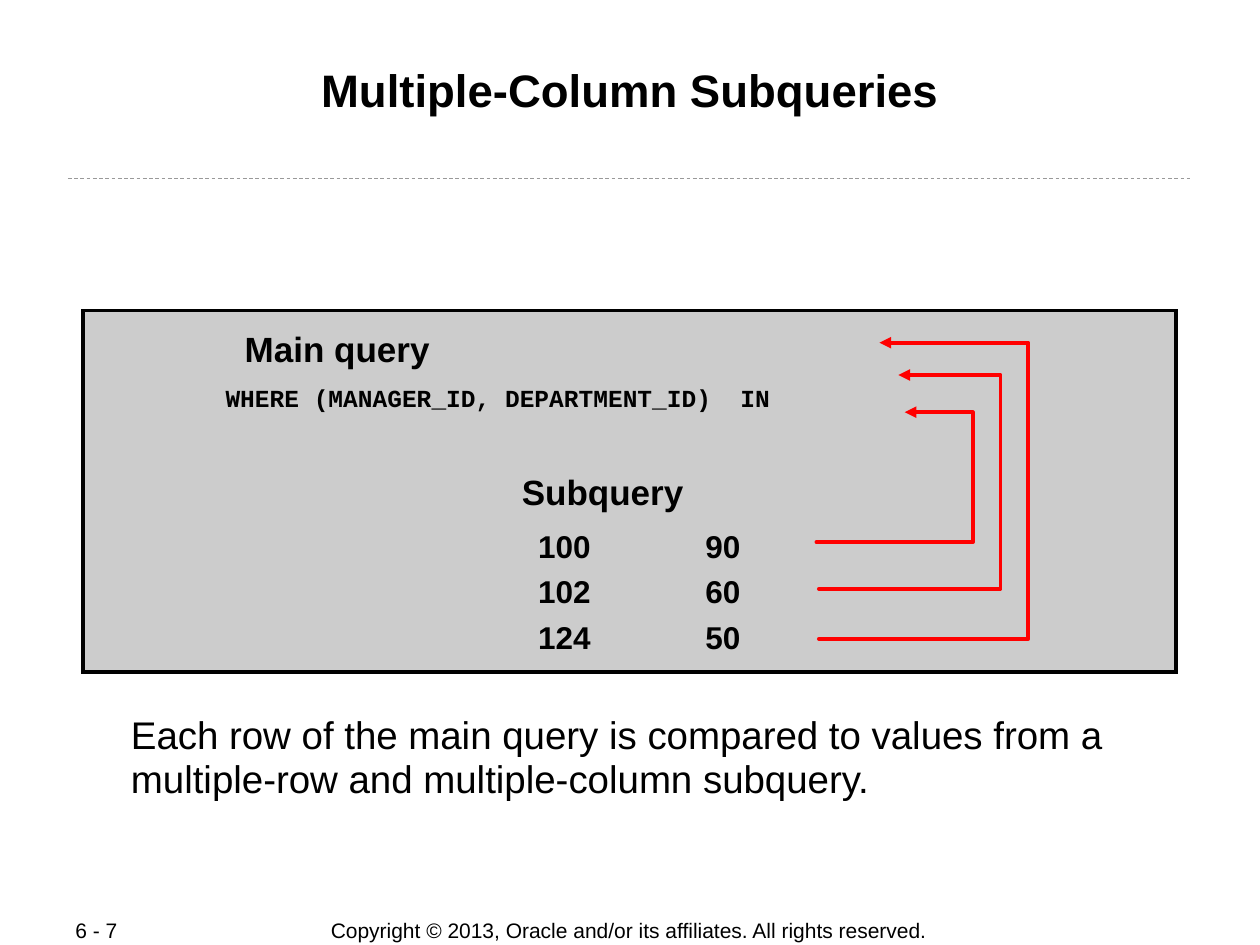
from lxml.etree import SubElement
from pptx import Presentation
from pptx.dml.color import RGBColor
from pptx.enum.dml import MSO_LINE
from pptx.enum.shapes import MSO_CONNECTOR, MSO_SHAPE
from pptx.enum.text import MSO_ANCHOR, PP_ALIGN
from pptx.oxml.ns import qn
from pptx.util import Cm, Pt

COLORS = {"text": "000000", "panel": "CCCCCC", "rule": "999999", "match": "FF0000"}

# Content
TITLE = "Multiple-Column Subqueries"
MAIN_QUERY = "Main query"
WHERE_CLAUSE = "WHERE (MANAGER_ID, DEPARTMENT_ID)  IN"
SUBQUERY = "Subquery"
SUBQUERY_ROWS = [("100", "90"), ("102", "60"), ("124", "50")]
EXPLANATION = ("Each row of the main query is compared to values from a "
               "multiple-row and multiple-column subquery.")
PAGE = "6 - 7"
COPYRIGHT = "Copyright © 2013, Oracle and/or its affiliates. All rights reserved."

# Arrows from subquery rows to the main query, in cm: start x, row y, tip x, tip y
MATCHES = [(16.46, 10.93, 18.24, 8.31),
           (16.51, 11.87, 18.11, 7.56),
           (16.51, 12.88, 17.73, 6.91)]
FIRST_BEND, BEND_STEP = 19.61, 0.56

prs = Presentation()
prs.slide_width, prs.slide_height = Cm(25.4), Cm(19.05)
slide = prs.slides.add_slide(prs.slide_layouts[6])
shapes = slide.shapes


def rgb(name):
    return RGBColor.from_string(COLORS[name])


def add_text(text, left, top, width, height, size, font="Arial", bold=False,
             align=PP_ALIGN.LEFT, anchor=MSO_ANCHOR.TOP, spacing=1.0,
             wrap=True, inset=(0.25, 0.13), tab=None):
    box = shapes.add_textbox(Cm(left), Cm(top), Cm(width), Cm(height))
    frame = box.text_frame
    frame.word_wrap = wrap
    frame.vertical_anchor = anchor
    frame.margin_left = frame.margin_right = Cm(inset[0])
    frame.margin_top = frame.margin_bottom = Cm(inset[1])
    frame.text = text
    for paragraph in frame.paragraphs:
        paragraph.alignment = align
        paragraph.line_spacing = spacing
        if tab:
            tabs = SubElement(paragraph._p.get_or_add_pPr(), qn("a:tabLst"))
            SubElement(tabs, qn("a:tab"), pos=str(Cm(tab)), algn="l")
        for run in paragraph.runs:
            run.font.name, run.font.size, run.font.bold = font, Pt(size), bold
            run.font.color.rgb = rgb("text")
    return box


def add_match(start_x, row_y, tip_x, tip_y, bend_x):
    builder = shapes.build_freeform(Cm(start_x), Cm(row_y))
    builder.add_line_segments([(Cm(bend_x), Cm(row_y)), (Cm(bend_x), Cm(tip_y)),
                               (Cm(tip_x), Cm(tip_y))], close=False)
    match = builder.convert_to_shape()
    match.shadow.inherit = False
    match.fill.background()
    match.line.color.rgb = rgb("match")
    match.line.width = Pt(2.25)
    outline = match.line._get_or_add_ln()
    outline.set("cap", "rnd")
    SubElement(outline, qn("a:round"))
    SubElement(outline, qn("a:tailEnd"), type="triangle")


# Footer
footer = {"size": 12, "anchor": MSO_ANCHOR.MIDDLE, "inset": (0.25, 0)}
add_text(COPYRIGHT, 5.68, 18.49, 14, 0.53, align=PP_ALIGN.CENTER, **footer)
add_text(PAGE, 1.27, 18.49, 2.69, 0.53, **footer)

# Title and the dashed rule under it
rule = shapes.add_connector(MSO_CONNECTOR.STRAIGHT, Cm(1.37), Cm(3.6), Cm(24.03), Cm(3.6))
rule.line.color.rgb = rgb("rule")
rule.line.width = Pt(0.5)
rule.line.dash_style = MSO_LINE.DASH
SubElement(rule._element.spPr, qn("a:effectLst"))
add_text(TITLE, 1.7, 1.22, 22, 2.44, 26, bold=True, align=PP_ALIGN.CENTER,
         inset=(0.03, 0.03))

# Query panel
panel = shapes.add_shape(MSO_SHAPE.RECTANGLE, Cm(1.68), Cm(6.26), Cm(22.02), Cm(7.29))
panel.shadow.inherit = False
panel.fill.solid()
panel.fill.fore_color.rgb = rgb("panel")
panel.line.color.rgb = rgb("text")
panel.line.width = Pt(2.25)
SubElement(panel.line._get_or_add_ln(), qn("a:miter"), lim="800000")

label = {"bold": True, "align": PP_ALIGN.CENTER, "spacing": 1.2, "wrap": False}
add_text(MAIN_QUERY, 4.68, 6.3, 4.24, 1.27, 20, **label)
add_text(WHERE_CLAUSE, 4.29, 7.47, 11.51, 0.97, 14, font="Courier New", **label)
add_text(SUBQUERY, 10.26, 9.19, 3.78, 1.27, 20, **label)
add_text("\n".join("\t".join(row) for row in SUBQUERY_ROWS),
         10.6, 10.34, 6.38, 3, 18, bold=True, spacing=1.2, tab=3.37)

# Arrows, each bending one step further right
for i, match_points in enumerate(MATCHES):
    add_match(*match_points, FIRST_BEND + i * BEND_STEP)

# Explanation
add_text(EXPLANATION, 2.39, 14.27, 20.52, 2.03, 22, spacing=0.95)

prs.save("out.pptx")
